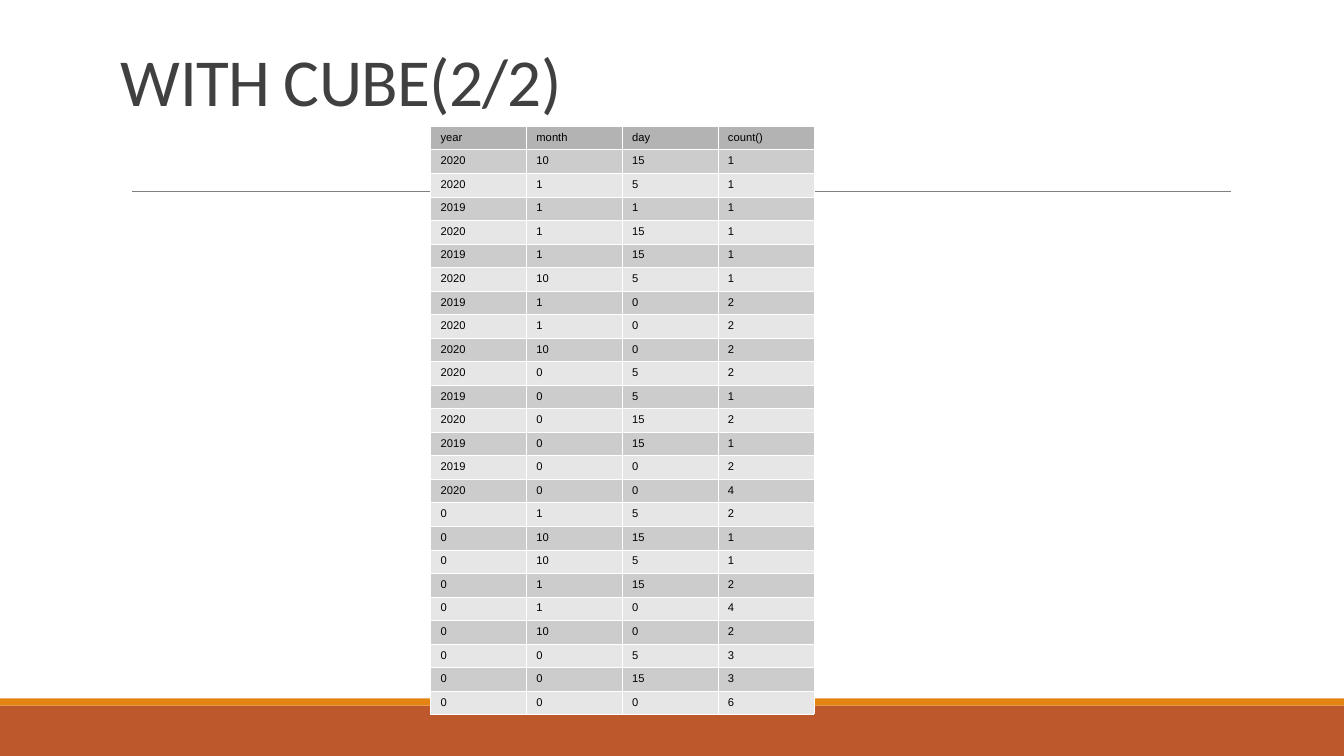
from lxml.etree import SubElement
from pptx import Presentation
from pptx.dml.color import RGBColor
from pptx.enum.shapes import MSO_CONNECTOR, MSO_SHAPE
from pptx.enum.text import MSO_ANCHOR
from pptx.oxml.ns import qn
from pptx.util import Inches, Pt

RUST = RGBColor(0xBD, 0x58, 0x2C)
ORANGE = RGBColor(0xE4, 0x83, 0x12)
RULE_GRAY = RGBColor(0x80, 0x80, 0x80)
TITLE_GRAY = RGBColor(0x40, 0x40, 0x40)
HEADER_GRAY = RGBColor(0xB3, 0xB3, 0xB3)
DARK_BAND = RGBColor(0xCC, 0xCC, 0xCC)
LIGHT_BAND = RGBColor(0xE6, 0xE6, 0xE6)
BLACK = RGBColor(0, 0, 0)
WHITE = RGBColor(0xFF, 0xFF, 0xFF)

HEADINGS = ("year", "month", "day", "count()")
COUNTS = (
    (2020, 10, 15, 1),
    (2020, 1, 5, 1),
    (2019, 1, 1, 1),
    (2020, 1, 15, 1),
    (2019, 1, 15, 1),
    (2020, 10, 5, 1),
    (2019, 1, 0, 2),
    (2020, 1, 0, 2),
    (2020, 10, 0, 2),
    (2020, 0, 5, 2),
    (2019, 0, 5, 1),
    (2020, 0, 15, 2),
    (2019, 0, 15, 1),
    (2019, 0, 0, 2),
    (2020, 0, 0, 4),
    (0, 1, 5, 2),
    (0, 10, 15, 1),
    (0, 10, 5, 1),
    (0, 1, 15, 2),
    (0, 1, 0, 4),
    (0, 10, 0, 2),
    (0, 0, 5, 3),
    (0, 0, 15, 3),
    (0, 0, 0, 6),
)


def write_text(para, text, size, font, color):
    """Add one formatted span to a paragraph and return it."""
    span = para.add_run()
    span.text = text
    for name, value in {"size": Pt(size), "name": font, "bold": False}.items():
        setattr(span.font, name, value)
    span.font.color.rgb = color
    return span


def add_footer(page, left, top, width, height):
    """Draw the footer band with a thin stripe along its top."""
    stripe = Inches(0.07)
    bands = ((top + stripe, height - stripe, RUST), (top, stripe, ORANGE))
    for band_top, band_height, color in bands:
        band = page.shapes.add_shape(
            MSO_SHAPE.RECTANGLE, left, band_top, width, band_height)
        band.shadow.inherit = False
        band.fill.solid()
        band.fill.fore_color.rgb = color
        band.line.fill.background()


def add_rule(page, left, top, width):
    """Draw the thin horizontal rule."""
    rule = page.shapes.add_connector(
        MSO_CONNECTOR.STRAIGHT, left, top, left + width, top)
    rule.line.color.rgb = RULE_GRAY
    rule.line.width = Pt(0.5)
    SubElement(rule._element.spPr, qn("a:effectLst"))


def add_title(page, left, top, width, height, text):
    """Place the title at the bottom of its box."""
    box = page.shapes.add_textbox(left, top, width, height)
    frame = box.text_frame
    settings = {
        "word_wrap": True,
        "vertical_anchor": MSO_ANCHOR.BOTTOM,
        "margin_left": 0,
        "margin_top": 0,
        "margin_right": 0,
        "margin_bottom": 0,
    }
    for name, value in settings.items():
        setattr(frame, name, value)
    para = frame.paragraphs[0]
    para.line_spacing = 0.85
    span = write_text(para, text, 48, "Calibri", TITLE_GRAY)
    span.font._element.set("spc", "-50")


def style_cell(cell, color):
    """Give a cell hairline white borders and a solid fill."""
    properties = cell._tc.get_or_add_tcPr()
    for side in ("a:lnL", "a:lnR", "a:lnT", "a:lnB"):
        border = SubElement(properties, qn(side), w=str(Pt(0.06)))
        fill = SubElement(border, qn("a:solidFill"))
        SubElement(fill, qn("a:srgbClr"), val=str(WHITE))
    cell.fill.solid()
    cell.fill.fore_color.rgb = color


def add_count_table(page, left, top, width, height):
    """Build the banded table of counts in equal rows and columns."""
    records = (HEADINGS, *COUNTS)
    table = page.shapes.add_table(
        len(records), len(HEADINGS), left, top, width, height).table
    table.first_row = False
    table.horz_banding = False
    for row in table.rows:
        row.height = height // len(records)
    for row_index, record in enumerate(records):
        band = DARK_BAND if row_index % 2 else LIGHT_BAND
        for column_index, value in enumerate(record):
            cell = table.cell(row_index, column_index)
            style_cell(cell, band if row_index else HEADER_GRAY)
            para = cell.text_frame.paragraphs[0]
            write_text(para, str(value), 8, "Arial", BLACK)


def main():
    """Build the slide and save the deck."""
    deck = Presentation()
    deck.slide_width, deck.slide_height = Inches(13.33), Inches(7.5)
    page = deck.slides.add_slide(deck.slide_layouts[6])
    add_footer(page, 0, Inches(6.93), deck.slide_width, Inches(0.57))
    add_rule(page, Inches(1.31), Inches(1.9), Inches(10.9))
    add_title(page, Inches(1.2), Inches(0.2), Inches(11), Inches(0.99),
              "WITH CUBE(2/2)")
    add_count_table(page, Inches(4.27), Inches(1.25), Inches(3.8), Inches(5.7))
    deck.save("out.pptx")


if __name__ == "__main__":
    main()
